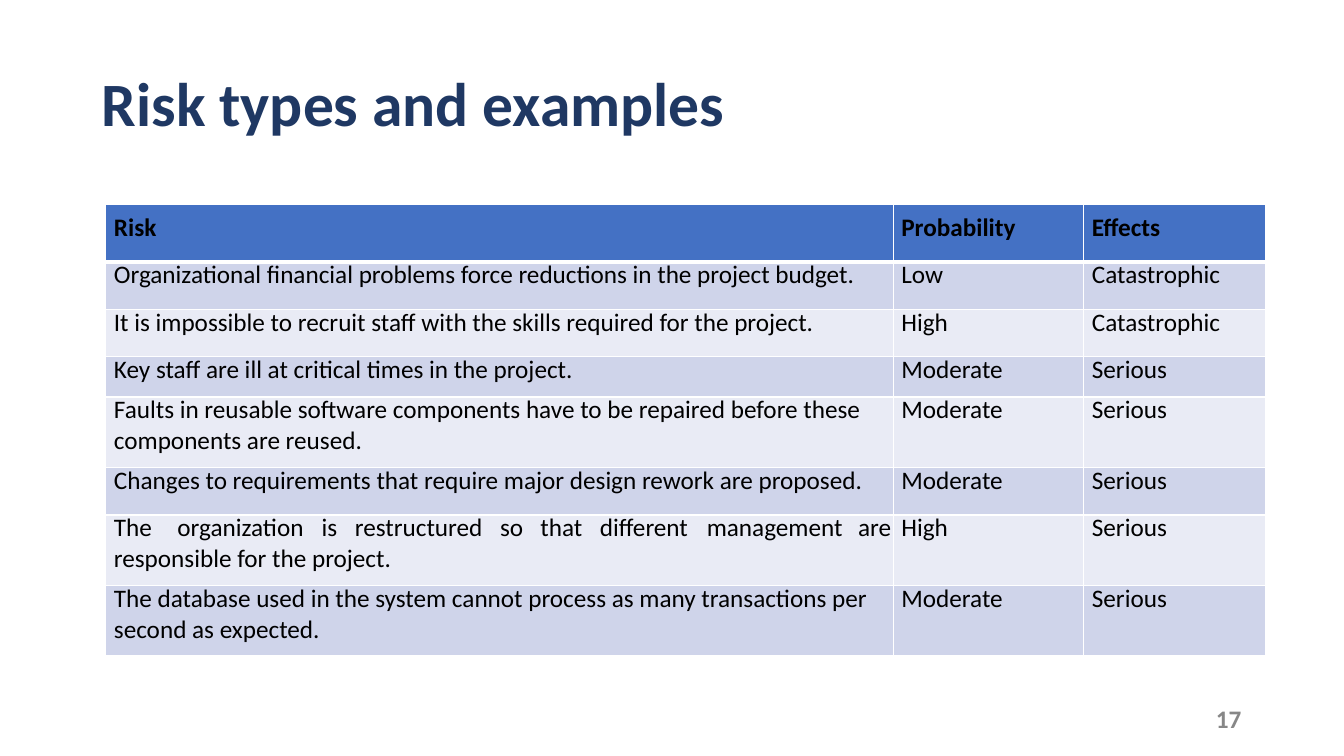
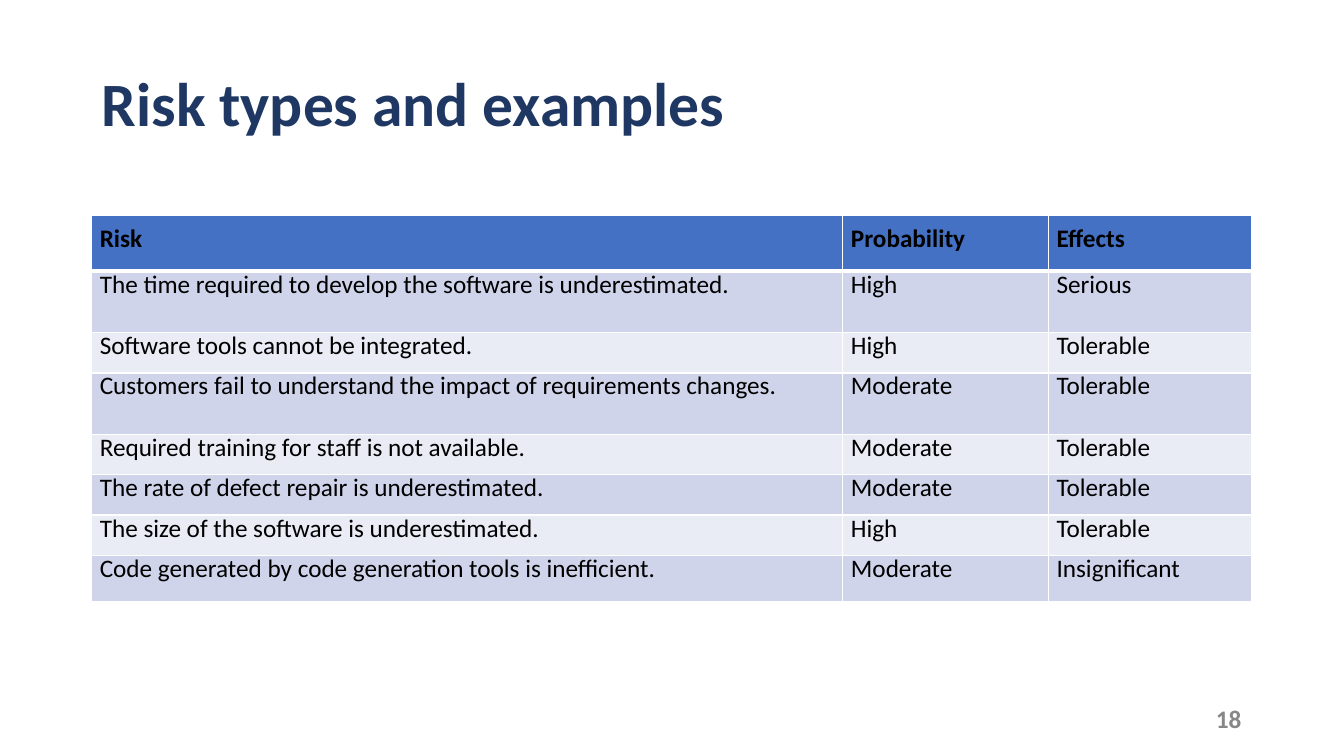
import pptx
import pptx.dml.color
import pptx.enum.text
import pptx.oxml
import pptx.oxml.ns
import pptx.util

EMU_PER_PX = 9144
FONT = "Calibri"
NAVY, GREY, BLACK, WHITE = "1F3863", "878787", "000000", "FFFFFF"
HEADER_FILL = "4471C4"
BAND_FILLS = ("CFD4EA", "E9EBF5")
TITLE_BOX = (54, 63, 1218, 83)
NUMBER_BOX = (1205, 703, 32, 28)
CELL_INDENT = 8
HEADINGS = ("Risk", "Probability", "Effects")
TAB_STOPS = (63, 206, 239, 383, 423, 482, 588, 738)

FINANCIAL_RISKS = [
    ("Organizational financial problems force reductions in the project budget.", "Low", "Catastrophic"),
    ("It is impossible to recruit staff with the skills required for the project.", "High", "Catastrophic"),
    ("Key staff are ill at critical times in the project.", "Moderate", "Serious"),
    ("Faults in reusable software components have to be repaired before these\n"
     "components are reused.", "Moderate", "Serious"),
    ("Changes to requirements that require major design rework are proposed.", "Moderate", "Serious"),
    ("The\torganization\tis\trestructured\tso\tthat\tdifferent\tmanagement\tare\n"
     "responsible for the project.", "High", "Serious"),
    ("The database used in the system cannot process as many transactions per\n"
     "second as expected.", "Moderate", "Serious"),
]
ESTIMATION_RISKS = [
    ("The time required to develop the software is underestimated.", "High", "Serious"),
    ("Software tools cannot be integrated.", "High", "Tolerable"),
    ("Customers fail to understand the impact of requirements changes.", "Moderate", "Tolerable"),
    ("Required training for staff is not available.", "Moderate", "Tolerable"),
    ("The rate of defect repair is underestimated.", "Moderate", "Tolerable"),
    ("The size of the software is underestimated.", "High", "Tolerable"),
    ("Code generated by code generation tools is inefficient.", "Moderate", "Insignificant"),
]


def px(length):
    return pptx.util.Emu(length * EMU_PER_PX)


def color(value):
    return pptx.dml.color.RGBColor.from_string(value)


def set_margins(holder, left=0, top=0):
    holder.margin_left, holder.margin_top = px(left), px(top)
    holder.margin_right = holder.margin_bottom = 0


def add_tab_stops(para, stops):
    tab_list = pptx.oxml.parse_xml(f"<a:tabLst {pptx.oxml.ns.nsdecls('a')}/>")
    for stop in stops:
        tab_list.append(pptx.oxml.parse_xml(
            f'<a:tab {pptx.oxml.ns.nsdecls("a")} pos="{px(stop)}" algn="l"/>'))
    para._p.get_or_add_pPr().append(tab_list)


def write_text(frame, text, size=18, fill=BLACK, bold=False, first_line=None):
    """Write one paragraph per line; first_line is the first one's height in points."""
    for index, line in enumerate(text.split("\n")):
        para = frame.add_paragraph() if index else frame.paragraphs[0]
        if "\t" in line:
            add_tab_stops(para, TAB_STOPS)
        para.alignment = pptx.enum.text.PP_ALIGN.LEFT
        if first_line and index == 0:
            para.line_spacing = pptx.util.Pt(first_line)
        span = para.add_run()
        span.text = line
        span.font.name, span.font.size = FONT, pptx.util.Pt(size)
        span.font.bold, span.font.color.rgb = bold, color(fill)


def set_borders(cell, top=1, bottom=1):
    properties = cell._tc.get_or_add_tcPr()
    for side, points in (("L", 1), ("R", 1), ("T", top), ("B", bottom)):
        properties.append(pptx.oxml.parse_xml(
            f'<a:ln{side} {pptx.oxml.ns.nsdecls("a")} w="{pptx.util.Pt(points)}">'
            f'<a:solidFill><a:srgbClr val="{WHITE}"/></a:solidFill></a:ln{side}>'))


def add_title(page, text, box):
    title = page.shapes.title
    title.left, title.top, title.width, title.height = map(px, box)
    frame = title.text_frame
    set_margins(frame, left=47, top=1)
    frame.word_wrap = True
    frame.auto_size = pptx.enum.text.MSO_AUTO_SIZE.SHAPE_TO_FIT_TEXT
    frame.vertical_anchor = pptx.enum.text.MSO_ANCHOR.TOP
    write_text(frame, text, size=44, fill=NAVY, bold=True)


def add_page_number(page, number, box):
    frame = page.shapes.add_textbox(*map(px, box)).text_frame
    set_margins(frame, left=1)
    frame.word_wrap = True
    write_text(frame, str(number), fill=GREY, bold=True, first_line=18.1)


def add_risk_table(page, risks, left, top, widths, heights):
    rows = [HEADINGS, *risks]
    table = page.shapes.add_table(
        len(rows), len(widths), px(left), px(top), px(sum(widths)), px(sum(heights))).table
    table.horz_banding = False
    for column, width in zip(table.columns, widths):
        column.width = px(width)
    for row_index, (texts, height) in enumerate(zip(rows, heights)):
        table.rows[row_index].height = px(height)
        is_header = row_index == 0
        for column_index, text in enumerate(texts):
            cell = table.cell(row_index, column_index)
            set_margins(cell, left=CELL_INDENT, top=8 if is_header else 0)
            set_borders(cell, top=3 if row_index == 1 else 1, bottom=3 if is_header else 1)
            cell.fill.solid()
            cell.fill.fore_color.rgb = color(
                HEADER_FILL if is_header else BAND_FILLS[(row_index - 1) % 2])
            write_text(cell.text_frame, text, bold=is_header,
                       first_line=None if is_header else 20.5)


def add_risk_slide(deck, number, **table_format):
    page = deck.slides.add_slide(deck.slide_layouts[5])
    add_title(page, "Risk types and examples", TITLE_BOX)
    add_risk_table(page, **table_format)
    add_page_number(page, number, NUMBER_BOX)


def main():
    deck = pptx.Presentation()
    deck.slide_width, deck.slide_height = px(1333), px(750)
    add_risk_slide(deck, 17, risks=FINANCIAL_RISKS, left=105, top=203,
                   widths=(781, 189, 180), heights=(57, 47, 47, 40, 70, 47, 70, 70))
    add_risk_slide(deck, 18, risks=ESTIMATION_RISKS, left=91, top=214,
                   widths=(745, 204, 201), heights=(55, 61, 40, 61, 40, 40, 40, 46))
    deck.save("out.pptx")


if __name__ == "__main__":
    main()
